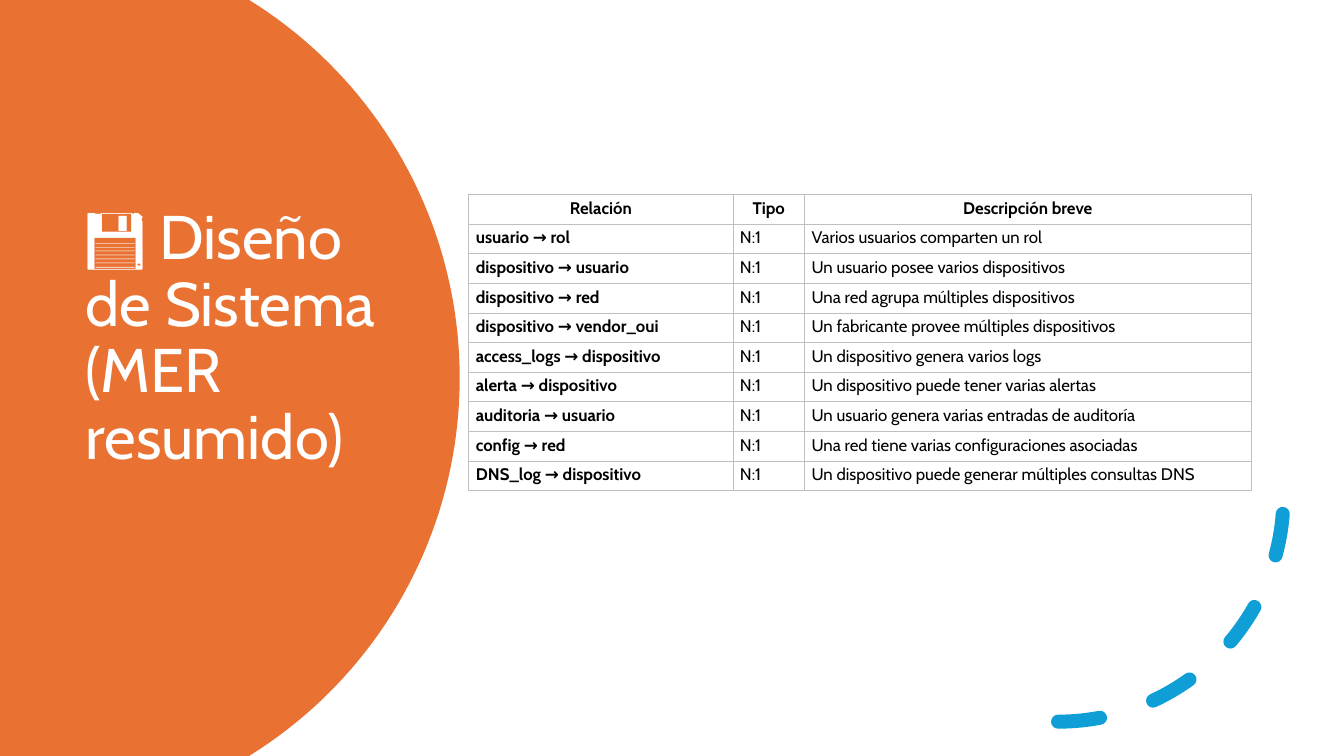
import math

from lxml import etree
from pptx import Presentation
from pptx.dml.color import RGBColor
from pptx.enum.dml import MSO_LINE
from pptx.enum.shapes import MSO_SHAPE
from pptx.enum.text import MSO_ANCHOR, PP_ALIGN
from pptx.oxml.ns import qn
from pptx.util import Inches, Pt

TITLE = "💾 Diseño de Sistema (MER resumido)"
HEADERS = ("Relación", "Tipo", "Descripción breve")
RELATIONS = [
    ("usuario → rol", "Varios usuarios comparten un rol"),
    ("dispositivo → usuario", "Un usuario posee varios dispositivos"),
    ("dispositivo → red", "Una red agrupa múltiples dispositivos"),
    ("dispositivo → vendor_oui", "Un fabricante provee múltiples dispositivos"),
    ("access_logs → dispositivo", "Un dispositivo genera varios logs"),
    ("alerta → dispositivo", "Un dispositivo puede tener varias alertas"),
    ("auditoria → usuario", "Un usuario genera varias entradas de auditoría"),
    ("config → red", "Una red tiene varias configuraciones asociadas"),
    ("DNS_log → dispositivo", "Un dispositivo puede generar múltiples consultas DNS"),
]
CARDINALITY = "N:1"

THEME = {
    "font": "Cabin",
    "title_size": 44,
    "cell_size": 12,
    "title": "FFFFFF",
    "text": "000000",
    "paper": "FFFFFF",
    "disc": "E97132",
    "arc": "0F9ED5",
    "border": "BFBFBF",
}
SLIDE_W, SLIDE_H = 13.33, 7.5
COLUMNS = (2.62, 0.71, 4.43)
ROW_H = 0.294
DISC_RIGHT, DISC_RADIUS, DISC_STEPS = 4.56, 4.41, 80

LEFT, CENTER = PP_ALIGN.LEFT, PP_ALIGN.CENTER
MIDDLE, TOP = MSO_ANCHOR.MIDDLE, MSO_ANCHOR.TOP
ARC, DASH = MSO_SHAPE.ARC, MSO_LINE.DASH


def color(name):
    return RGBColor.from_string(THEME[name])


def write(tf, text, size="cell_size", ink="text", bold=False, align=LEFT, spacing=Pt(13.5)):
    p = tf.paragraphs[0]
    p.alignment = align
    p.line_spacing = spacing
    r = p.add_run()
    r.text = text
    r.font.name = THEME["font"]
    r.font.size = Pt(THEME[size])
    r.font.bold = bold
    r.font.color.rgb = color(ink)


def add_disc(slide):
    """Draw the part of the large circle that lies on the slide."""
    cx, cy = DISC_RIGHT - DISC_RADIUS, SLIDE_H / 2
    limit = math.asin(cy / DISC_RADIUS)
    angles = [limit * (2 * i / DISC_STEPS - 1) for i in range(DISC_STEPS + 1)]
    edge = [(Inches(cx + DISC_RADIUS * math.cos(a)),
             Inches(cy + DISC_RADIUS * math.sin(a))) for a in angles]
    builder = slide.shapes.build_freeform(0, 0)
    builder.add_line_segments(edge + [(0, Inches(SLIDE_H))], close=True)
    sp = builder.convert_to_shape()
    sp.shadow.inherit = False
    sp.fill.solid()
    sp.fill.fore_color.rgb = color("disc")
    sp.line.fill.background()


def add_title(slide):
    sp = slide.shapes.add_textbox(Inches(0.75), Inches(1.26), Inches(3.5), Inches(4.88))
    tf = sp.text_frame
    tf.word_wrap = True
    tf.vertical_anchor = MIDDLE
    tf.margin_bottom = Inches(0.71)
    write(tf, TITLE, size="title_size", ink="title", spacing=0.9)


def add_dashed_arc(slide):
    sp = slide.shapes.add_shape(ARC, Inches(8.26), Inches(2.69), Inches(4.47), Inches(4.47))
    sp.shadow.inherit = False
    sp.fill.background()
    sp.line.color.rgb = color("arc")
    sp.line.width = Pt(10)
    sp.line.dash_style = DASH
    sp.element.spPr.find(qn("a:ln")).set("cap", "rnd")
    sp.element.spPr.find(qn("a:xfrm")).set("flipV", "1")


def add_borders(cell):
    tc_pr = cell._tc.get_or_add_tcPr()
    for side in ("lnL", "lnR", "lnT", "lnB"):
        ln = etree.SubElement(tc_pr, qn(f"a:{side}"), w=str(Pt(0.75)))
        fill = etree.SubElement(ln, qn("a:solidFill"))
        etree.SubElement(fill, qn("a:srgbClr"), val=THEME["border"])


def add_relations(slide):
    rows = [HEADERS] + [(name, CARDINALITY, note) for name, note in RELATIONS]
    frame = slide.shapes.add_table(len(rows), len(COLUMNS), Inches(4.65), Inches(1.93),
                                   Inches(sum(COLUMNS)), Inches(ROW_H * len(rows)))
    table = frame.table
    table.first_row = table.horz_banding = False
    for column, width in zip(table.columns, COLUMNS):
        column.width = Inches(width)
    for i, row in enumerate(rows):
        table.rows[i].height = Inches(ROW_H)
        for j, text in enumerate(row):
            cell = table.cell(i, j)
            cell.margin_left = cell.margin_right = Inches(0.07)
            cell.margin_top = cell.margin_bottom = Inches(0.05)
            cell.vertical_anchor = TOP
            add_borders(cell)
            cell.fill.solid()
            cell.fill.fore_color.rgb = color("paper")
            write(cell.text_frame, text, bold=i == 0 or j == 0,
                  align=CENTER if i == 0 else LEFT)


def main():
    prs = Presentation()
    prs.slide_width, prs.slide_height = Inches(SLIDE_W), Inches(SLIDE_H)
    slide = prs.slides.add_slide(prs.slide_layouts[6])
    slide.background.fill.solid()
    slide.background.fill.fore_color.rgb = color("paper")
    add_disc(slide)
    add_title(slide)
    add_dashed_arc(slide)
    add_relations(slide)
    prs.save("out.pptx")


if __name__ == "__main__":
    main()
